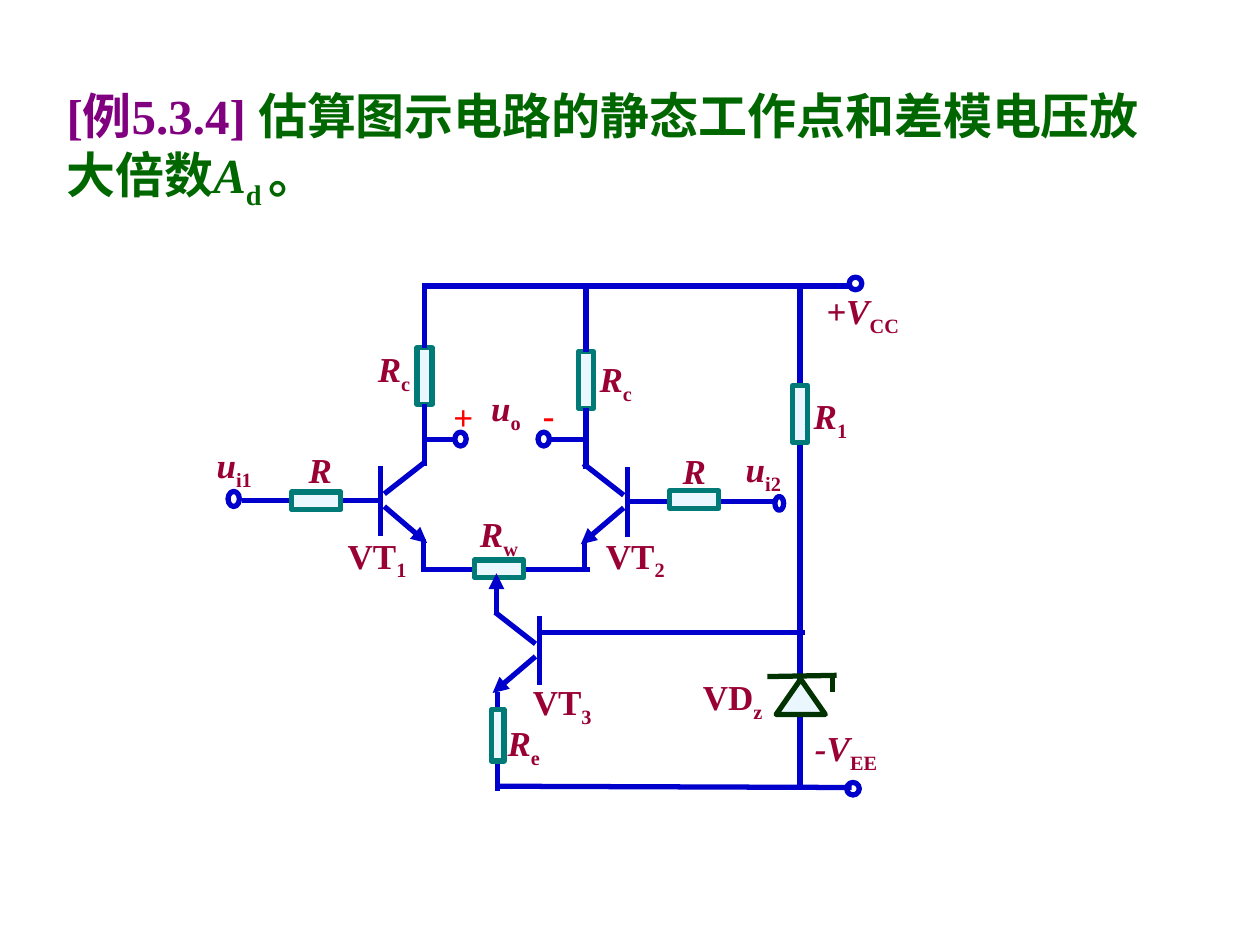
from dataclasses import dataclass

from lxml import etree
from pptx import Presentation
from pptx.dml.color import RGBColor
from pptx.enum.shapes import MSO_CONNECTOR, MSO_SHAPE
from pptx.enum.text import MSO_AUTO_SIZE
from pptx.oxml.ns import qn
from pptx.util import Inches, Pt

STRAIGHT = MSO_CONNECTOR.STRAIGHT
RECTANGLE = MSO_SHAPE.RECTANGLE
OVAL = MSO_SHAPE.OVAL
TRIANGLE = MSO_SHAPE.ISOSCELES_TRIANGLE
GROW = MSO_AUTO_SIZE.SHAPE_TO_FIT_TEXT
TOP, BOTTOM = 0, 2


@dataclass(frozen=True)
class Theme:
    font: str = "Times New Roman"
    title_size: int = 28
    label_size: int = 20
    stroke: int = 3
    wire: str = "0000CC"
    resistor: str = "007A77"
    body: str = "EBF7FF"
    diode: str = "003300"
    label: str = "990033"
    sign: str = "FF0000"
    example: str = "800080"
    question: str = "006600"


THEME = Theme()


def add_span(para, text, size, color, italic=False, subscript=False):
    span = para.add_run()
    span.text = text
    font = span.font
    font.name, font.size, font.bold, font.italic = THEME.font, Pt(size), True, italic
    font.color.rgb = RGBColor.from_string(color)
    if subscript:
        span._r.get_or_add_rPr().set("baseline", "-25000")


def add_text_box(shapes, left, top, width, height):
    box = shapes.add_textbox(Inches(left), Inches(top), Inches(width), Inches(height))
    box.text_frame.word_wrap = True
    box.text_frame.auto_size = GROW
    return box.text_frame.paragraphs[0]


def add_title(page, left, top, width, height):
    para = add_text_box(page.shapes, left, top, width, height)
    size, color = THEME.title_size, THEME.question
    add_span(para, "[例5.3.4] ", size, THEME.example)
    add_span(para, "估算图示电路的静态工作点和差模电压放大倍数", size, color)
    add_span(para, "A", size, color, italic=True)
    add_span(para, "d ", size, color, subscript=True)
    add_span(para, "。", size, color)


class Circuit:
    """Circuit diagram whose components are placed in inches from its own corner."""

    def __init__(self, page, left, top):
        self.shapes = page.shapes.add_group_shape().shapes
        self.left, self.top = left, top

    def point(self, x, y):
        return Inches(self.left + x), Inches(self.top + y)

    def wire(self, x1, y1, x2, y2, color=THEME.wire, arrow=False):
        line = self.shapes.add_connector(STRAIGHT, *self.point(x1, y1), *self.point(x2, y2))
        line.line.color.rgb = RGBColor.from_string(color)
        line.line.width = Pt(THEME.stroke)
        properties = line._element.spPr
        if arrow:
            etree.SubElement(properties.find(qn("a:ln")), qn("a:tailEnd"), type="triangle")
        etree.SubElement(properties, qn("a:effectLst"))
        return line

    def component(self, kind, left, top, width, height, color, fill=None, rotation=0):
        shape = self.shapes.add_shape(
            kind, *self.point(left, top), Inches(width), Inches(height))
        shape.shadow.inherit = False
        shape.rotation = rotation
        shape.line.color.rgb = RGBColor.from_string(color)
        shape.line.width = Pt(THEME.stroke)
        if fill:
            shape.fill.solid()
            shape.fill.fore_color.rgb = RGBColor.from_string(fill)
        else:
            shape.fill.background()
        return shape

    def resistor(self, left, top, width=0.12, height=0.45, rotation=0):
        return self.component(RECTANGLE, left, top, width, height,
                              THEME.resistor, THEME.body, rotation)

    def collector_resistor(self, left, top, supply_y, node_y):
        body = self.resistor(left, top)
        middle = left + 0.06
        self.wire(middle, supply_y, middle, top).end_connect(body, TOP)
        self.wire(middle, top + 0.45, middle, node_y).begin_connect(body, BOTTOM)

    def transistor(self, x, top, side):
        """Base bar at x; collector and emitter go right (1) or left (-1)."""
        near = x + side * 0.03
        self.wire(x, top, x, top + 0.55)
        self.wire(near, top + 0.32, x + side * 0.37, top + 0.61, arrow=True)
        self.wire(near, top + 0.22, x + side * 0.35, top - 0.03)

    def zener(self, left, top):
        self.component(TRIANGLE, left, top, 0.39, 0.28, THEME.diode, THEME.body)
        self.wire(left - 0.07, top - 0.02, left + 0.48, top - 0.03, THEME.diode)
        self.wire(left + 0.45, top - 0.03, left + 0.45, top + 0.1, THEME.diode)

    def label(self, left, top, width, text, subscript="", italic=True, color=THEME.label):
        para = add_text_box(self.shapes, self.left + left, self.top + top,
                            width, 0.48 if subscript else 0.44)
        add_span(para, text, THEME.label_size, color, italic=italic)
        if subscript:
            add_span(para, subscript, THEME.label_size, color, subscript=True)


def add_circuit(page, left, top):
    circuit = Circuit(page, left, top)

    # Supply rails, inputs, outputs and links
    for ends in (
        (1.85, 0.27, 5.24, 0.27), (2.43, 4.24, 5.26, 4.25),   # rails
        (4.85, 0.26, 4.85, 4.26), (2.78, 3.02, 4.89, 3.02),   # bias branch
        (0.42, 1.97, 1.51, 1.97), (3.5, 1.98, 4.66, 1.98),    # inputs
        (1.89, 1.49, 2.12, 1.49), (3.13, 1.49, 2.87, 1.49),   # outputs
        (1.86, 2.28, 1.86, 2.54), (3.14, 2.31, 3.14, 2.54),   # emitters
        (1.85, 2.52, 3.18, 2.52), (2.45, 3.49, 2.45, 4.28),
    ):
        circuit.wire(*ends)

    # Resistors
    circuit.collector_resistor(1.81, 0.76, 0.29, 1.7)
    circuit.collector_resistor(3.09, 0.79, 0.29, 1.72)
    circuit.resistor(4.79, 1.06)
    circuit.resistor(2.4, 3.63, 0.1, 0.41)
    for x, y in ((0.94, 1.78), (3.94, 1.77), (2.39, 2.32)):
        circuit.resistor(x, y, 0.14, 0.39, rotation=90)

    # Transistors, wiper and diode
    for x, y, side in ((1.52, 1.7, 1), (3.48, 1.71, -1), (2.78, 2.89, -1)):
        circuit.transistor(x, y, side)
    circuit.wire(2.44, 2.88, 2.44, 2.55, arrow=True)
    circuit.zener(4.66, 3.39)

    # Terminals
    for x, y, width, height in (
        (2.11, 1.43, 0.09, 0.11), (2.77, 1.43, 0.09, 0.11),
        (0.31, 1.9, 0.09, 0.12), (4.65, 1.94, 0.07, 0.11),
        (5.24, 0.2, 0.1, 0.1), (5.22, 4.21, 0.1, 0.1),
    ):
        circuit.component(OVAL, x, y, width, height, THEME.wire)

    # Labels
    for x, y, width, text, subscript in (
        (2.3, 1.02, 0.64, "u", "o"), (0.12, 1.47, 0.68, "u", "i1"),
        (4.32, 1.5, 0.66, "u", "i2"), (4.96, 0.25, 1.13, "+V", "CC"),
        (4.87, 3.72, 1.06, "-V", "EE"), (1.4, 0.71, 0.59, "R", "c"),
        (3.16, 0.79, 0.61, "R", "c"), (2.43, 3.68, 0.59, "R", "e"),
        (2.21, 2.02, 0.69, "R", "w"), (4.86, 1.08, 0.81, "R", "1"),
        (0.85, 1.51, 0.41, "R", ""), (3.82, 1.52, 0.44, "R", ""),
    ):
        circuit.label(x, y, width, text, subscript)
    for x, y, width, text, subscript in (
        (1.16, 2.19, 0.81, "VT", "1"), (3.21, 2.19, 0.92, "VT", "2"),
        (2.63, 3.35, 0.81, "VT", "3"), (3.98, 3.31, 0.84, "VD", "z"),
    ):
        circuit.label(x, y, width, text, subscript, italic=False)
    for x, y, sign in ((2, 1.09, "+"), (2.71, 1.07, "-")):
        circuit.label(x, y, 0.39, sign, italic=False, color=THEME.sign)


def main():
    deck = Presentation()
    deck.slide_width, deck.slide_height = Inches(10), Inches(7.5)
    page = deck.slides.add_slide(deck.slide_layouts[6])
    add_circuit(page, 1.5, 2)
    add_title(page, 0.43, 0.63, 9, 1.1)
    deck.save("out.pptx")


if __name__ == "__main__":
    main()
